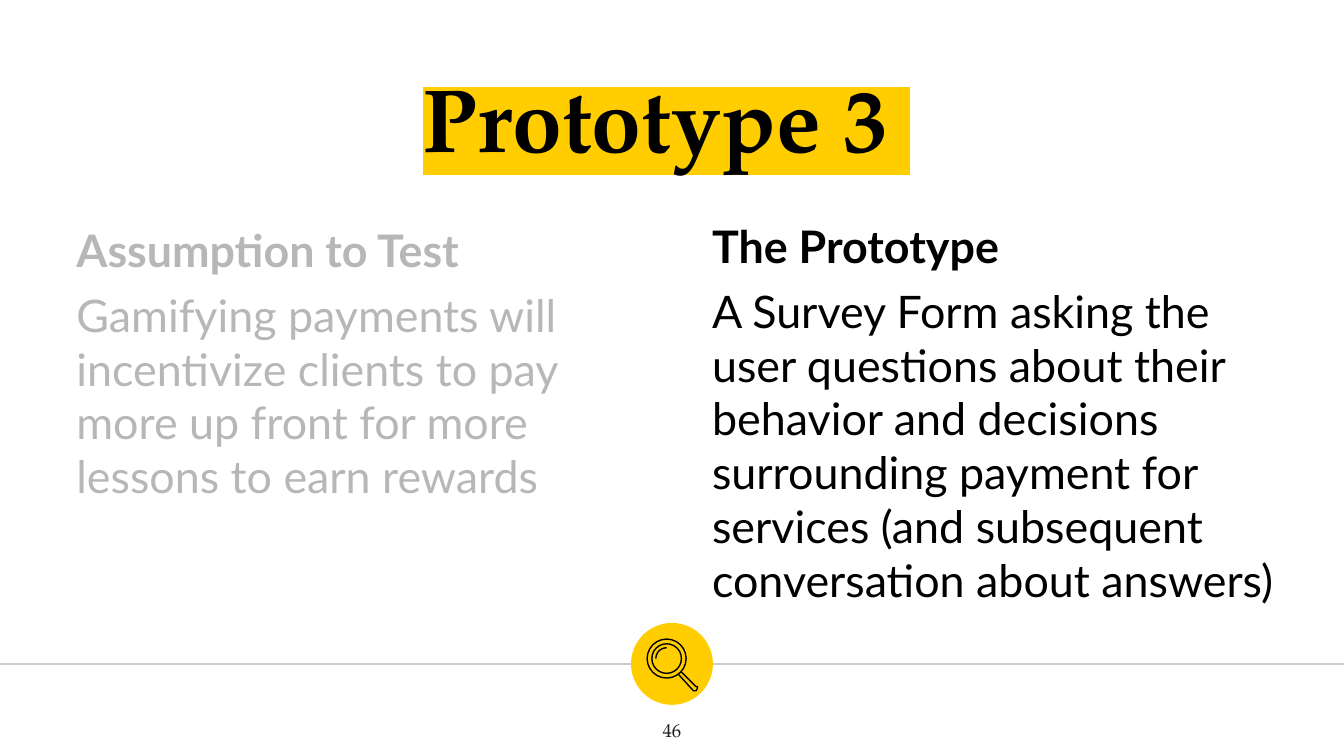
import math

import pptx
import pptx.dml.color
import pptx.enum.shapes
import pptx.enum.text
import pptx.oxml
import pptx.oxml.ns
import pptx.util

Inches = pptx.util.Inches
RGBColor = pptx.dml.color.RGBColor
Align = pptx.enum.text.PP_ALIGN
Anchor = pptx.enum.text.MSO_ANCHOR

YELLOW = RGBColor(0xFF, 0xCD, 0x00)
BLACK = RGBColor(0x00, 0x00, 0x00)
INK = RGBColor(0x1D, 0x1D, 0x1B)
MUTED = RGBColor(0xB7, 0xB7, 0xB7)
RULE = RGBColor(0xCC, 0xCC, 0xCC)
HEADING_FONT = "TeX Gyre Pagella"
BODY_FONT = "Lato"


class SlideBuilder:
    """Holds the current slide and draws each kind of element in its style."""

    def __init__(self, slide):
        self.slide = slide
        self.shapes = slide.shapes

    def set_frame(self, tf, anchor):
        tf.word_wrap = True
        tf.auto_size = pptx.enum.text.MSO_AUTO_SIZE.NONE
        tf.vertical_anchor = anchor
        tf.margin_left = tf.margin_right = Inches(0.1)
        tf.margin_top = tf.margin_bottom = Inches(0.1)

    def format_paragraph(self, p, font, size, color, bold=False, align=Align.LEFT):
        p.alignment = align
        for r in p.runs:
            r.font.name = font
            r.font.size = pptx.util.Pt(size)
            r.font.bold = bold
            r.font.color.rgb = color

    def title(self, text, x, y, w, h):
        sp = self.shapes.title
        sp.left, sp.top, sp.width, sp.height = map(Inches, (x, y, w, h))
        sp.text_frame.text = text
        self.set_frame(sp.text_frame, Anchor.MIDDLE)
        p = sp.text_frame.paragraphs[0]
        self.format_paragraph(p, HEADING_FONT, 48, BLACK, True, Align.CENTER)
        # The highlight must follow the fill and precede the font
        highlight = pptx.oxml.parse_xml(
            f'<a:highlight {pptx.oxml.ns.nsdecls("a")}>'
            f'<a:srgbClr val="{YELLOW}"/></a:highlight>')
        p.runs[0].font._element.find(pptx.oxml.ns.qn("a:solidFill")).addnext(highlight)

    def text_box(self, text, x, y, w, h, anchor):
        tf = self.shapes.add_textbox(*map(Inches, (x, y, w, h))).text_frame
        tf.text = text
        self.set_frame(tf, anchor)
        return tf

    def column(self, heading, body, x, y, w, h, color):
        tf = self.text_box(f"{heading}\n{body}", x, y, w, h, Anchor.BOTTOM)
        for p, bold in zip(tf.paragraphs, (True, False)):
            self.format_paragraph(p, BODY_FONT, 24, color, bold)
        tf.paragraphs[1].space_before = pptx.util.Pt(6)

    def page_number(self, text, x, y, w, h):
        tf = self.text_box(text, x, y, w, h, Anchor.MIDDLE)
        self.format_paragraph(tf.paragraphs[0], HEADING_FONT, 10, INK, align=Align.CENTER)

    def rule(self, x1, y1, x2, y2):
        line = self.shapes.add_connector(
            pptx.enum.shapes.MSO_CONNECTOR.STRAIGHT, *map(Inches, (x1, y1, x2, y2)))
        line.line.color.rgb = RULE
        line.line.width = pptx.util.Pt(0.75)
        line._element.spPr.append(
            pptx.oxml.parse_xml(f'<a:effectLst {pptx.oxml.ns.nsdecls("a")}/>'))

    def outline(self, sp):
        sp.shadow.inherit = False
        sp.fill.background()
        sp.line.color.rgb = BLACK
        sp.line.width = pptx.util.Pt(0.75)

    def circle(self, cx, cy, radius, fill=None):
        sp = self.shapes.add_shape(
            pptx.enum.shapes.MSO_SHAPE.OVAL, Inches(cx - radius), Inches(cy - radius),
            Inches(2 * radius), Inches(2 * radius))
        self.outline(sp)
        if fill is not None:
            sp.fill.solid()
            sp.fill.fore_color.rgb = fill
            sp.line.fill.background()

    def stroke(self, points):
        start, *rest = [(Inches(x), Inches(y)) for x, y in points]
        builder = self.shapes.build_freeform(*start)
        builder.add_line_segments(rest, close=False)
        self.outline(builder.convert_to_shape())


def main():
    prs = pptx.Presentation()
    # Widescreen, 16:9
    prs.slide_width = Inches(10)
    prs.slide_height = prs.slide_width * 9 // 16
    s = SlideBuilder(prs.slides.add_slide(prs.slide_layouts[5]))

    # Footer rule and badge
    s.rule(-0.01, 4.94, 10.01, 4.94)
    s.circle(5, 4.94, 0.305, YELLOW)

    # Title and page number
    s.title("Prototype 3 ", 0.71, 0.23, 8.5, 1.27)
    s.page_number("46", 4.7, 5.24, 0.6, 0.39)

    # Two text columns
    s.column("The Prototype",
             "A Survey Form asking the user questions about their behavior and "
             "decisions surrounding payment for services (and subsequent "
             "conversation about answers)", 5.2, 1.51, 4.51, 3.1, BLACK)
    s.column("Assumption to Test",
             "Gamifying payments will incentivize clients to pay more up front "
             "for more lessons to earn rewards", 0.47, 1.51, 4.51, 2.33, MUTED)

    # Magnifying glass: rim, lens, glint and handle
    cx, cy = 4.96, 4.9
    for radius in (0.145, 0.11):
        s.circle(cx, cy, radius)
    glint = [math.radians(a) for a in range(180, 271, 10)]
    s.stroke([(cx + 0.08 * math.cos(a), cy + 0.08 * math.sin(a)) for a in glint])
    s.stroke([(5.05, 5.02), (5.16, 5.14), (5.17, 5.14), (5.18, 5.14),
              (5.19, 5.12), (5.19, 5.11), (5.18, 5.11), (5.07, 5)])

    prs.save("out.pptx")


if __name__ == "__main__":
    main()
